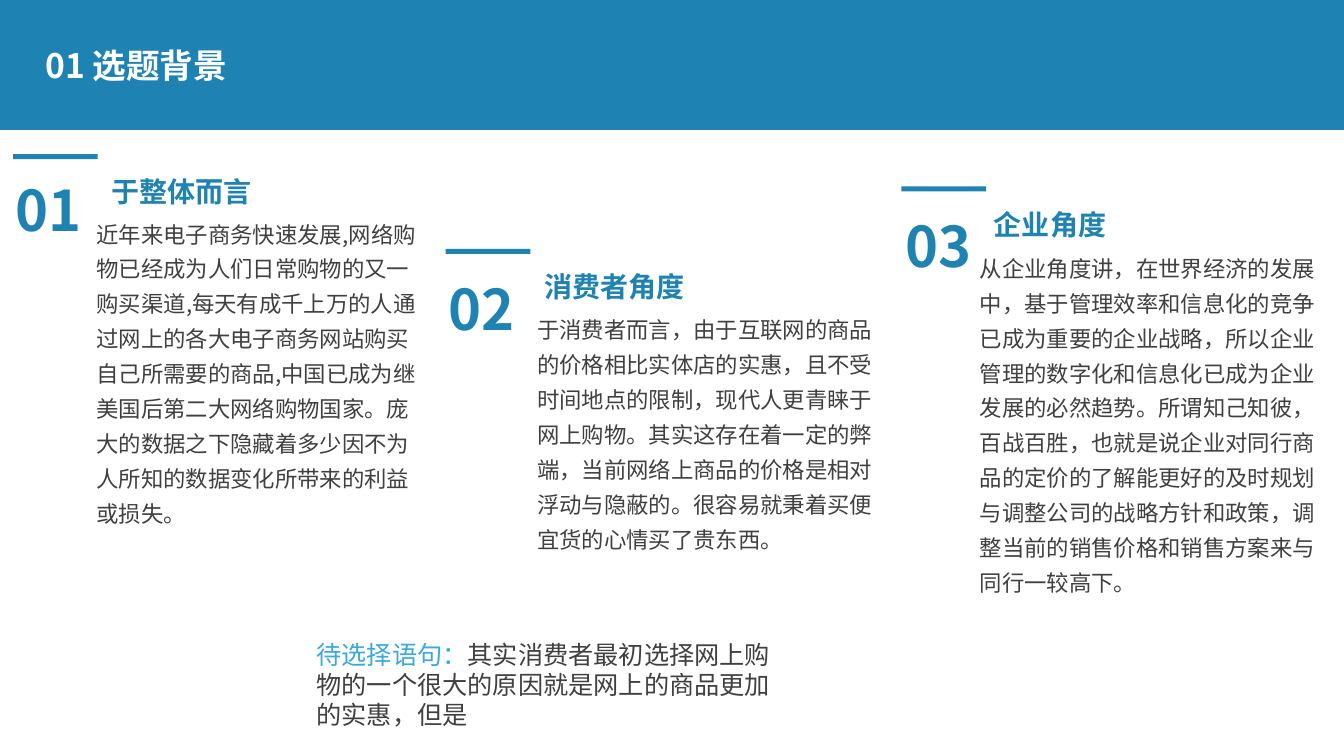
from dataclasses import dataclass
from typing import Any

from lxml import etree
from pptx import Presentation
from pptx.dml.color import RGBColor
from pptx.enum import shapes, text
from pptx.oxml import ns
from pptx.util import Inches, Pt


@dataclass(frozen=True)
class Theme:
    font: str = "Noto Sans CJK SC"
    blue: str = "1E83B3"
    light_blue: str = "39A9DE"
    white: str = "FFFFFF"
    grey: str = "404040"
    title_size: int = 24
    number_size: int = 40
    heading_size: int = 20
    body_size: int = 16
    note_size: int = 18
    line_spacing: float = 1.3


@dataclass(frozen=True)
class Box:
    left: float
    top: float
    width: float
    height: float

    def lengths(self) -> list[int]:
        return [Inches(v) for v in (self.left, self.top, self.width, self.height)]


@dataclass(frozen=True)
class Column:
    number: str
    heading: str
    body: str
    bar: Box
    number_box: Box
    heading_box: Box
    body_box: Box


THEME = Theme()

COLUMNS = [
    Column(
        "01", "于整体而言",
        "近年来电子商务快速发展,网络购物已经成为人们日常购物的又一购买渠道,"
        "每天有成千上万的人通过网上的各大电子商务网站购买自己所需要的商品,"
        "中国已成为继美国后第二大网络购物国家。庞大的数据之下隐藏着多少"
        "因不为人所知的数据变化所带来的利益或损失。",
        Box(0.13, 1.53, 0.84, 0.05), Box(0.06, 1.49, 0.88, 0.97),
        Box(1.01, 1.58, 1.59, 0.54), Box(0.86, 2.06, 3.41, 3.25),
    ),
    Column(
        "02", "消费者角度",
        "于消费者而言，由于互联网的商品的价格相比实体店的实惠，且不受时间地点的限制，"
        "现代人更青睐于网上购物。其实这存在着一定的弊端，当前网络上商品的价格是"
        "相对浮动与隐蔽的。很容易就秉着买便宜货的心情买了贵东西。",
        Box(4.42, 2.47, 0.84, 0.05), Box(4.35, 2.47, 0.88, 0.97),
        Box(5.3, 2.52, 1.59, 0.54), Box(5.23, 3.01, 3.56, 2.55),
    ),
    Column(
        "03", "企业角度",
        "从企业角度讲，在世界经济的发展中，基于管理效率和信息化的竞争已成为重要的企业战略，"
        "所以企业管理的数字化和信息化已成为企业发展的必然趋势。所谓知己知彼，百战百胜，"
        "也就是说企业对同行商品的定价的了解能更好的及时规划与调整公司的战略方针和政策，"
        "调整当前的销售价格和销售方案来与同行一较高下。",
        Box(8.94, 1.85, 0.84, 0.05), Box(8.88, 1.85, 0.88, 0.97),
        Box(9.76, 1.91, 1.31, 0.54), Box(9.62, 2.4, 3.6, 3.6),
    ),
]


def add_run(paragraph: Any, words: str, size: int, color: str, bold: bool = False) -> None:
    run = paragraph.add_run()
    run.text = words
    run.font.size = Pt(size)
    run.font.bold = bold
    run.font.color.rgb = RGBColor.from_string(color)
    run.font.name = THEME.font
    # Chinese characters take the East Asian typeface
    properties = run._r.get_or_add_rPr()
    etree.SubElement(properties, ns.qn("a:ea"), typeface=THEME.font)


def add_rectangle(container: Any, box: Box, color: str) -> None:
    shape = container.add_shape(shapes.MSO_SHAPE.RECTANGLE, *box.lengths())
    shape.shadow.inherit = False
    shape.fill.solid()
    shape.fill.fore_color.rgb = RGBColor.from_string(color)
    shape.line.fill.background()


def add_text_box(container: Any, box: Box, wrap: bool = True) -> Any:
    """Add an empty text box and return its first paragraph."""
    frame = container.add_textbox(*box.lengths()).text_frame
    frame.word_wrap = wrap
    frame.auto_size = text.MSO_AUTO_SIZE.SHAPE_TO_FIT_TEXT
    return frame.paragraphs[0]


def add_column(slide: Any, column: Column) -> None:
    group = slide.shapes.add_group_shape().shapes
    add_rectangle(group, column.bar, THEME.blue)
    for box, words, size, color, is_body in (
        (column.body_box, column.body, THEME.body_size, THEME.grey, True),
        (column.heading_box, column.heading, THEME.heading_size, THEME.blue, False),
        (column.number_box, column.number, THEME.number_size, THEME.blue, False),
    ):
        paragraph = add_text_box(group, box, wrap=is_body)
        paragraph.line_spacing = THEME.line_spacing
        add_run(paragraph, words, size, color, bold=not is_body)


def add_title(slide: Any, words: str) -> None:
    title = slide.shapes.title
    title.left, title.top, title.width, title.height = Box(0.35, 0.28, 5.8, 0.79).lengths()
    frame = title.text_frame
    frame.word_wrap = True
    frame.auto_size = text.MSO_AUTO_SIZE.NONE
    frame.vertical_anchor = text.MSO_ANCHOR.MIDDLE
    paragraph = frame.paragraphs[0]
    paragraph.alignment = text.PP_ALIGN.LEFT
    paragraph.line_spacing = 0.9
    paragraph.space_before = Pt(10)
    add_run(paragraph, words, THEME.title_size, THEME.white, bold=True)


def main() -> None:
    presentation = Presentation()
    presentation.slide_width = Inches(13.33)
    presentation.slide_height = Inches(7.5)
    slide = presentation.slides.add_slide(presentation.slide_layouts[5])

    # Blue background with a white content area
    slide.background.fill.solid()
    slide.background.fill.fore_color.rgb = RGBColor.from_string(THEME.blue)
    add_rectangle(slide.shapes, Box(0, 1.29, 13.33, 6.21), THEME.white)

    add_title(slide, "01 选题背景")

    # Three viewpoints
    for column in COLUMNS:
        add_column(slide, column)

    # Candidate sentence
    note = add_text_box(slide.shapes, Box(3.04, 6.29, 4.85, 1.01))
    add_run(note, "待选择语句：", THEME.note_size, THEME.light_blue)
    add_run(note, "其实消费者最初选择网上购物的一个很大的原因就是网上的商品更加的实惠，但是",
            THEME.note_size, THEME.grey)

    presentation.save("out.pptx")


if __name__ == "__main__":
    main()
